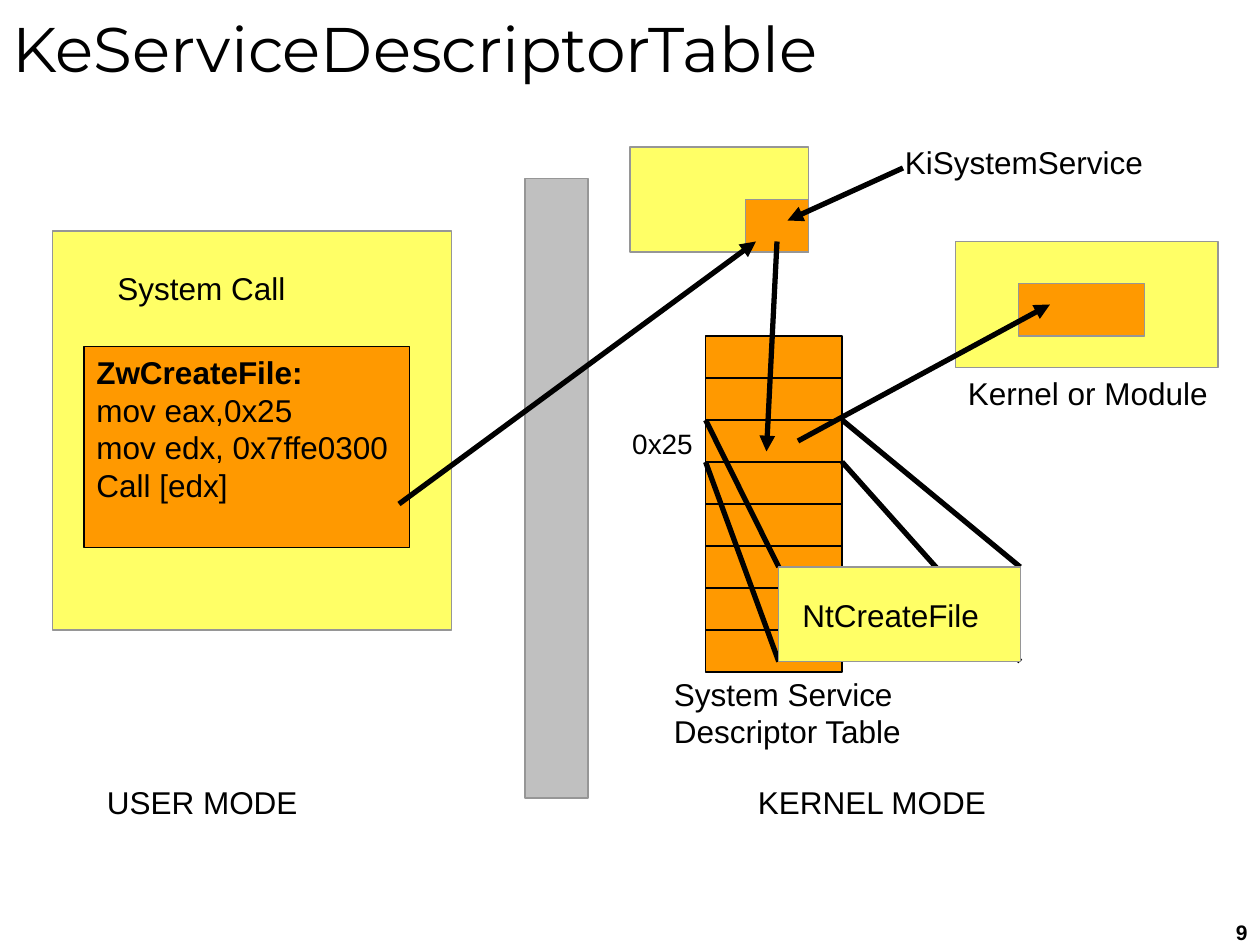
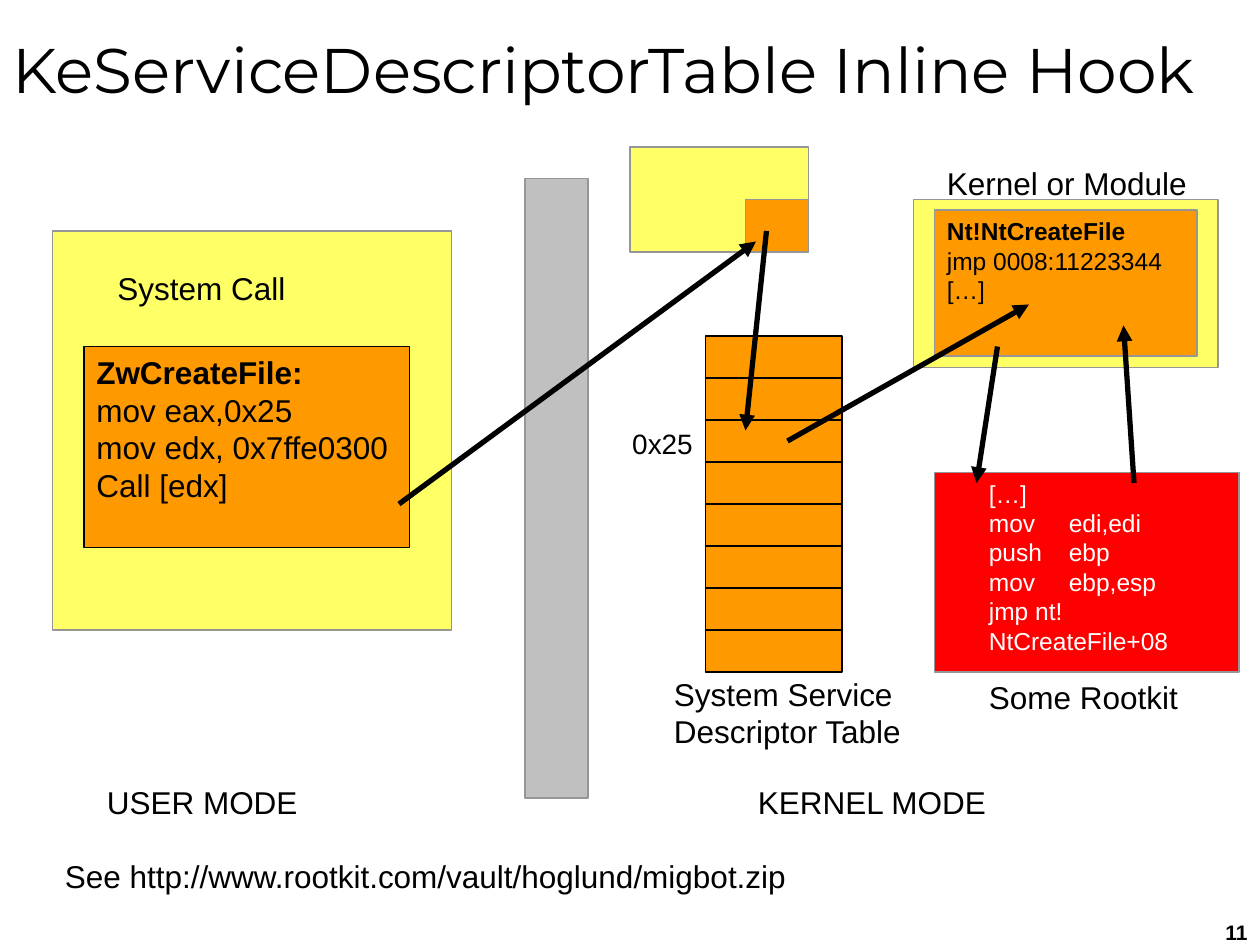
from dataclasses import dataclass
from typing import NamedTuple

from lxml.etree import SubElement
from pptx import Presentation
from pptx.dml.color import RGBColor
from pptx.enum.shapes import MSO_CONNECTOR, MSO_SHAPE
from pptx.enum.text import MSO_ANCHOR, MSO_AUTO_SIZE, PP_ALIGN
from pptx.oxml.ns import qn
from pptx.util import Pt


@dataclass(frozen=True)
class Theme:
    black: str = "000000"
    white: str = "FFFFFF"
    memory: str = "FFFF66"
    code: str = "FF9900"
    rootkit: str = "FF0000"
    barrier: str = "C0C0C0"
    outline: str = "969696"
    title_font: str = "Montserrat"
    body_font: str = "Arial"
    title_size: int = 36
    body_size: int = 18
    index_size: int = 16
    listing_size: int = 14
    number_size: int = 12
    thin: float = 0.75
    thick: float = 3


THEME = Theme()
LABEL_HEIGHT = 29
SLOT_HEIGHT = 24
SLOT_COUNT = 8
HOOKED_SLOT = 2
OPERAND_TAB = 45.7


class Box(NamedTuple):
    left: float
    top: float
    width: float
    height: float

    @property
    def right(self):
        return self.left + self.width

    @property
    def bottom(self):
        return self.top + self.height

    def inner(self, dx, dy, width, height=LABEL_HEIGHT):
        """Return a box offset from this one's top left corner."""
        return Box(self.left + dx, self.top + dy, width, height)

    def lengths(self):
        return [Pt(value) for value in self]


BARRIER = Box(300, 102, 36, 354)
USER_MEMORY = Box(30, 132, 228, 228)
DISPATCHER = Box(360, 84, 102, 60)
SERVICE_TABLE = Box(403.2, 192, 78, SLOT_HEIGHT * SLOT_COUNT)
CALLOUT = Box(445, 324, 138, 54)
MODULE = Box(546, 138, 150, 72)
HOOKED_MODULE = Box(522, 114, 174, 96)
ROOTKIT = Box(534, 270, 174, 114)
USER_LABEL = Box(54, 444, 186, LABEL_HEIGHT)
KERNEL_LABEL = Box(426, 444, 168, LABEL_HEIGHT)
PAGE_NUMBER = Box(474, 522, 246, 18)


def color(code):
    return RGBColor.from_string(code)


def add_span(para, text, size=THEME.body_size, ink=THEME.black, bold=False,
             font=THEME.body_font):
    span = para.add_run()
    span.text = text
    span.font.name = font
    span.font.size = Pt(size)
    span.font.bold = bold
    span.font.color.rgb = color(ink)


def set_operand_tab(para):
    tabs = SubElement(para._p.get_or_add_pPr(), qn("a:tabLst"))
    SubElement(tabs, qn("a:tab"), pos=str(Pt(OPERAND_TAB)), algn="l")


def write_lines(frame, lines, size=THEME.body_size, ink=THEME.black,
                bold_first=False, align=PP_ALIGN.LEFT, wrap=True):
    frame.word_wrap = wrap
    frame.auto_size = MSO_AUTO_SIZE.NONE
    frame.vertical_anchor = MSO_ANCHOR.TOP
    for index, line in enumerate(lines):
        para = frame.add_paragraph() if index else frame.paragraphs[0]
        if "\t" in line:
            set_operand_tab(para)
        para.alignment = align
        add_span(para, line, size, ink, bold_first and index == 0)


def add_label(page, box, *lines, **style):
    text_box = page.shapes.add_textbox(*box.lengths())
    write_lines(text_box.text_frame, lines, **style)


def add_block(page, box, fill, outline=THEME.outline):
    block = page.shapes.add_shape(MSO_SHAPE.RECTANGLE, *box.lengths())
    block.shadow.inherit = False
    block.fill.solid()
    block.fill.fore_color.rgb = color(fill)
    block.line.color.rgb = color(outline)
    block.line.width = Pt(THEME.thin)
    return block


def add_line(page, start, end, arrow=True):
    ends = [Pt(value) for value in (*start, *end)]
    line = page.shapes.add_connector(MSO_CONNECTOR.STRAIGHT, *ends)
    line.line.color.rgb = color(THEME.black)
    line.line.width = Pt(THEME.thick)
    if arrow:
        SubElement(line.line._get_or_add_ln(), qn("a:tailEnd"), type="triangle")
    SubElement(line._element.spPr, qn("a:effectLst"))


def draw_title(page, box, text):
    title = page.shapes.title
    title.left, title.top, title.width, title.height = box.lengths()
    frame = title.text_frame
    frame.word_wrap = True
    frame.auto_size = MSO_AUTO_SIZE.NONE
    frame.vertical_anchor = MSO_ANCHOR.MIDDLE
    para = frame.paragraphs[0]
    para.alignment = PP_ALIGN.LEFT
    add_span(para, text, THEME.title_size, font=THEME.title_font)


def draw_user_memory(page, box):
    add_block(page, box, THEME.memory)
    stub = add_block(page, box.inner(18, 66, 186, 115), THEME.code, THEME.black)
    write_lines(stub.text_frame, ["ZwCreateFile:", "mov eax,0x25",
                                  "mov edx, 0x7ffe0300", "Call [edx]"], bold_first=True)
    add_label(page, box.inner(30, 18, 180), "System Call")


def draw_dispatcher(page, box):
    add_block(page, box, THEME.memory)
    add_block(page, box.inner(66, 30, 36, 30), THEME.code)


def draw_service_table(page, box):
    for slot in range(SLOT_COUNT):
        add_block(page, box.inner(0, slot * SLOT_HEIGHT, box.width, SLOT_HEIGHT),
                  THEME.code, THEME.black)
    add_label(page, box.inner(-49, HOOKED_SLOT * SLOT_HEIGHT, 49, 27), "0x25",
              size=THEME.index_size, wrap=False)
    add_label(page, box.inner(-25.2, box.height - 2, 162, 50),
              "System Service Descriptor Table")


def draw_callout(page, box, table):
    """Magnify the hooked slot: join its corners to those of the callout."""
    slot = table.inner(0, HOOKED_SLOT * SLOT_HEIGHT, table.width, SLOT_HEIGHT)
    for side in ("left", "right"):
        for edge in ("top", "bottom"):
            start, end = [(getattr(area, side), getattr(area, edge))
                          for area in (slot, box)]
            add_line(page, start, end, arrow=False)
    add_block(page, box, THEME.memory)
    add_label(page, box.inner(6.4, 13, 126), "NtCreateFile")


def draw_module(page, box):
    add_block(page, box, THEME.memory)
    add_block(page, box.inner(36, 24, 72, 30), THEME.code)
    add_label(page, box.inner(0, box.height, 156), "Kernel or Module")


def draw_hooked_module(page, box):
    add_block(page, box, THEME.memory)
    add_label(page, box.inner(12, -24, 156), "Kernel or Module")
    function = add_block(page, box.inner(12, 6, 150, 83.5), THEME.code)
    write_lines(function.text_frame, ["Nt!NtCreateFile", "jmp 0008:11223344", "[…]"],
                size=THEME.listing_size, bold_first=True)


def draw_rootkit(page, box):
    add_block(page, box, THEME.rootkit)
    add_label(page, box.inner(24, box.height, 138), "Some Rootkit")
    add_label(page, box.inner(24, 0, 138, 108), "[…]", "mov\tedi,edi", "push\tebp",
              "mov\tebp,esp", "jmp nt!NtCreateFile+08",
              size=THEME.listing_size, ink=THEME.white)


def start_page(deck, title, title_top, number):
    """Add a page holding everything that the two diagrams share."""
    page = deck.slides.add_slide(deck.slide_layouts[5])
    draw_title(page, Box(0, title_top, 720, 54), title)
    add_block(page, BARRIER, THEME.barrier)
    draw_user_memory(page, USER_MEMORY)
    add_label(page, USER_LABEL, "USER MODE")
    add_label(page, KERNEL_LABEL, "KERNEL MODE")
    draw_dispatcher(page, DISPATCHER)
    add_line(page, (228, 288), (432, 138))
    draw_service_table(page, SERVICE_TABLE)
    number_box = page.shapes.add_textbox(*PAGE_NUMBER.lengths())
    write_lines(number_box.text_frame, [number], size=THEME.number_size,
                bold_first=True, align=PP_ALIGN.RIGHT)
    return page


def build_table_page(deck):
    page = start_page(deck, "KeServiceDescriptorTable", 0, "9")
    add_line(page, (516, 96), (450, 126))
    add_label(page, Box(510, 78, 156, LABEL_HEIGHT), "KiSystemService")
    draw_callout(page, CALLOUT, SERVICE_TABLE)
    draw_module(page, MODULE)
    add_line(page, (456, 252), (600, 174))
    add_line(page, (444, 138), (438, 258))


def build_hook_page(deck):
    page = start_page(deck, "KeServiceDescriptorTable Inline Hook", 12, "11")
    draw_hooked_module(page, HOOKED_MODULE)
    draw_rootkit(page, ROOTKIT)
    for start, end in [((438, 132), (426, 246)), ((450, 252), (588, 174)),
                       ((570, 198), (558, 276)), ((648, 276), (642, 186))]:
        add_line(page, start, end)
    add_label(page, Box(30, 486, 510, LABEL_HEIGHT),
              "See http://www.rootkit.com/vault/hoglund/migbot.zip")


def main():
    deck = Presentation()
    deck.slide_width, deck.slide_height = Pt(720), Pt(540)
    build_table_page(deck)
    build_hook_page(deck)
    deck.save("out.pptx")


if __name__ == "__main__":
    main()
